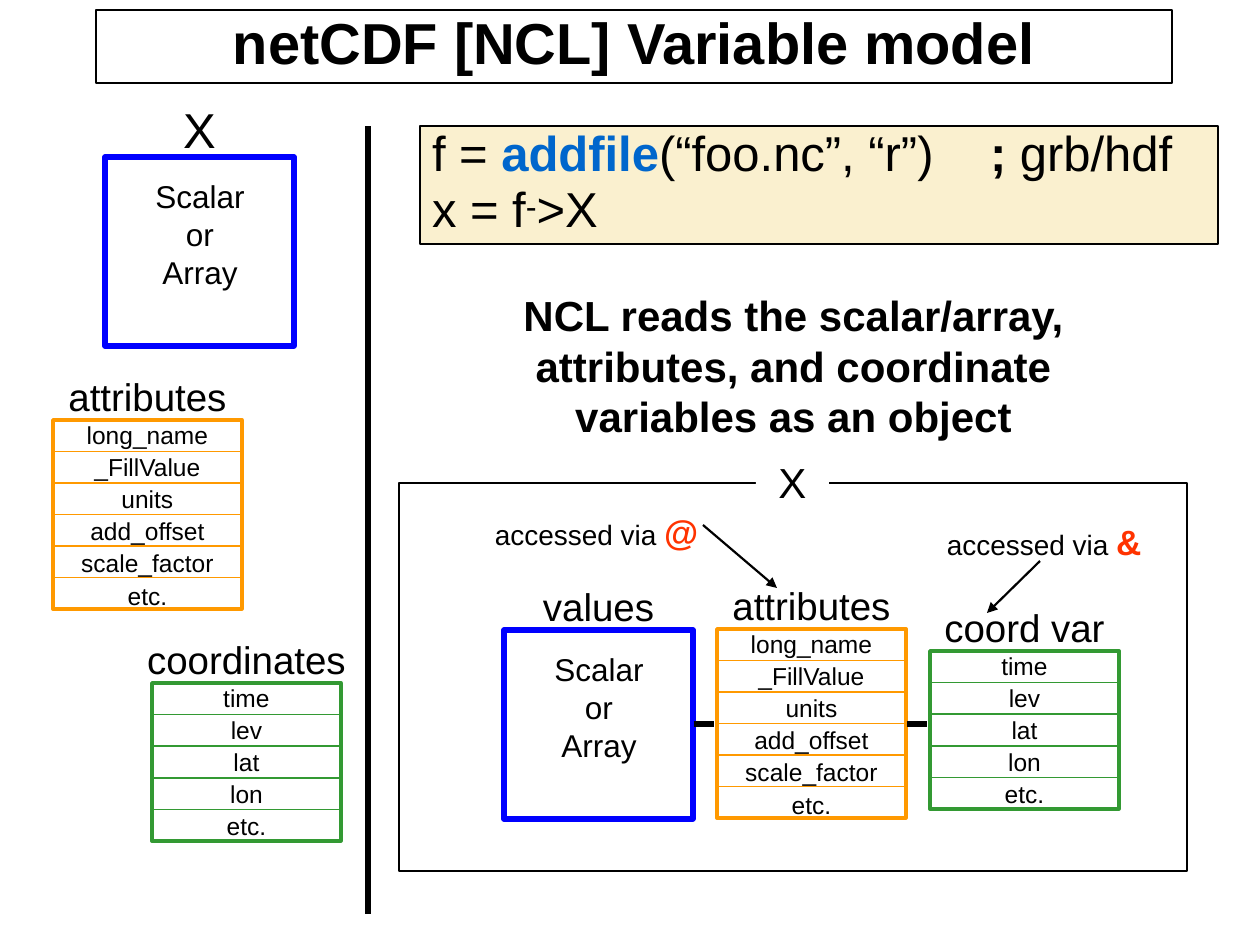
import pptx
import pptx.dml.color
import pptx.enum.shapes
import pptx.enum.text
import pptx.oxml
import pptx.oxml.ns
import pptx.util
from lxml import etree

PX = 914400 / 126
COLORS = {
    "black": "000000", "white": "FFFFFF", "cream": "FAF0CF", "blue": "0000FF",
    "orange": "FF9900", "green": "339933", "function": "0066CC", "symbol": "FF3300",
}
RGB = {name: pptx.dml.color.RGBColor.from_string(c) for name, c in COLORS.items()}
ALIGN = pptx.enum.text.PP_ALIGN
RECT = pptx.enum.shapes.MSO_SHAPE.RECTANGLE
qn = pptx.oxml.ns.qn

prs = pptx.Presentation()
prs.slide_width, prs.slide_height = round(1260 * PX), round(945 * PX)
s = prs.slides.add_slide(prs.slide_layouts[6])


def add_box(box, lines=(), size=18, align=ALIGN.CENTER, bold=False, line=None, weight=1,
            fill=None, spacing=1.0, before=0, inset=12):
    """Add a rectangle if it has a line or fill, else a text box; one paragraph per line."""
    emu = [round(v * PX) for v in box]
    if line or fill:
        sp = s.shapes.add_shape(RECT, *emu)
        sp.shadow.inherit = False
        if fill:
            sp.fill.solid()
            sp.fill.fore_color.rgb = RGB[fill]
        else:
            sp.fill.background()
        if line:
            sp.line.color.rgb = RGB[line]
            sp.line.width = pptx.util.Pt(weight)
        else:
            sp.line.fill.background()
    else:
        sp = s.shapes.add_textbox(*emu)
    tf = sp.text_frame
    tf.word_wrap = True
    tf.vertical_anchor = pptx.enum.text.MSO_ANCHOR.TOP
    tf.margin_left = tf.margin_right = round(inset * PX)
    tf.margin_top = tf.margin_bottom = round(6 * PX)
    for i, text in enumerate(lines):
        p = tf.add_paragraph() if i else tf.paragraphs[0]
        p.text = text
        p.alignment = align
        p.line_spacing = spacing
        p.space_before = pptx.util.Pt(before)
        p.font.name, p.font.size, p.font.bold = "Arial", pptx.util.Pt(size), bold
        p.font.color.rgb = RGB["black"]
    return sp


def add_line(x1, y1, x2, y2, color="black", weight=1.0, arrow=False):
    ends = [round(v * PX) for v in (x1, y1, x2, y2)]
    c = s.shapes.add_connector(pptx.enum.shapes.MSO_CONNECTOR.STRAIGHT, *ends)
    c.line.color.rgb = RGB[color]
    c.line.width = pptx.util.Pt(weight)
    if arrow:
        etree.SubElement(c.line._get_or_add_ln(), qn("a:tailEnd"), type="triangle")
    etree.SubElement(c._element.spPr, qn("a:effectLst"))


# Title
title = add_box((96, 10, 1076, 73), ["netCDF [NCL] Variable model"], 33, bold=True,
                line="black", weight=0.75, spacing=0.85)
title.text_frame.vertical_anchor = pptx.enum.text.MSO_ANCHOR.MIDDLE

# Code sample
code = add_box((420, 126, 798, 118), ["f = ", "x = f"], 28, ALIGN.LEFT,
               line="black", fill="cream", spacing=0.85)
open_line, read_line = code.text_frame.paragraphs
tabs = etree.SubElement(open_line._p.get_or_add_pPr(), qn("a:tabLst"))
etree.SubElement(tabs, qn("a:tab"), pos=str(round(558 * PX)), algn="l")
open_line._p.pPr.insert_element_before(tabs, "a:defRPr")
for text, bold, color in [("addfile", True, "function"), ("(“foo.nc”, “r”)\t", False, "black"),
                          (";", True, "black"), (" grb/hdf", False, "black")]:
    r = open_line.add_run()
    r.text, r.font.bold = text, bold
    r.font.color.rgb = RGB[color]
r = read_line.add_run()
r.text, r.font.size = "-", pptx.util.Pt(32)
r.font._element.set("baseline", "16000")
read_line.add_run().text = ">X"

# Divider and explanation
add_line(368, 126, 368, 914, weight=3)
add_box((431, 284, 725, 164),
        ["NCL reads the scalar/array, attributes, and coordinate variables as an object"],
        24, bold=True)

# Object frame, its name interrupting the top edge
add_box((399, 483, 788, 388), line="black", weight=1.25)
add_box((756, 451, 73, 63), ["X"], 24, fill="white")

# Value squares
for x, y, name, name_size, name_top in [(105, 157, "X", 28, 94), (504, 630, "values", 22, 577)]:
    add_box((x, y, 189, 189), line="blue", weight=3)
    add_box((x, name_top, 189, 60), [name], name_size)
    add_box((x + 32, y + 14, 126, 126), ["Scalar or Array"], 18)

# Attribute and coordinate lists
attributes = ["long_name", "_FillValue", "units", "add_offset", "scale_factor", "etc."]
coordinates = ["time", "lev", "lat", "lon", "etc."]
for x, y, name, color, rows in [(53, 420, "attributes", "orange", attributes),
                                (717, 629, "attributes", "orange", attributes),
                                (152, 683, "coordinates", "green", coordinates),
                                (930, 651, "coord var", "green", coordinates)]:
    height = round(31.5 * len(rows))
    add_box((x - 5, y - 53, 199, 59), [name], 22, inset=0)
    add_box((x, y, 189, height), line=color, weight=2)
    for i in range(1, len(rows)):
        row_y = y + i * height / len(rows)
        add_line(x, row_y, x + 189, row_y, color)
    add_box((x, y + 5, 189, height + 32), rows, 14, spacing=0.57, before=8.8, inset=0)

# Links between the parts of the object
for x in (694, 907):
    add_line(x, 724, x + 20, 724, weight=3)

# Access operators
for x, y, symbol, arrow in [(483, 504, "@", (703, 525, 777, 588)),
                            (935, 514, "&", (1040, 561, 987, 613))]:
    add_line(*arrow, weight=1.25, arrow=True)
    note = add_box((x, y, 242, 55), ["accessed via "], 16, ALIGN.LEFT)
    r = note.text_frame.paragraphs[0].add_run()
    r.text, r.font.size, r.font.bold = symbol, pptx.util.Pt(20), True
    r.font.color.rgb = RGB["symbol"]

prs.save("out.pptx")
